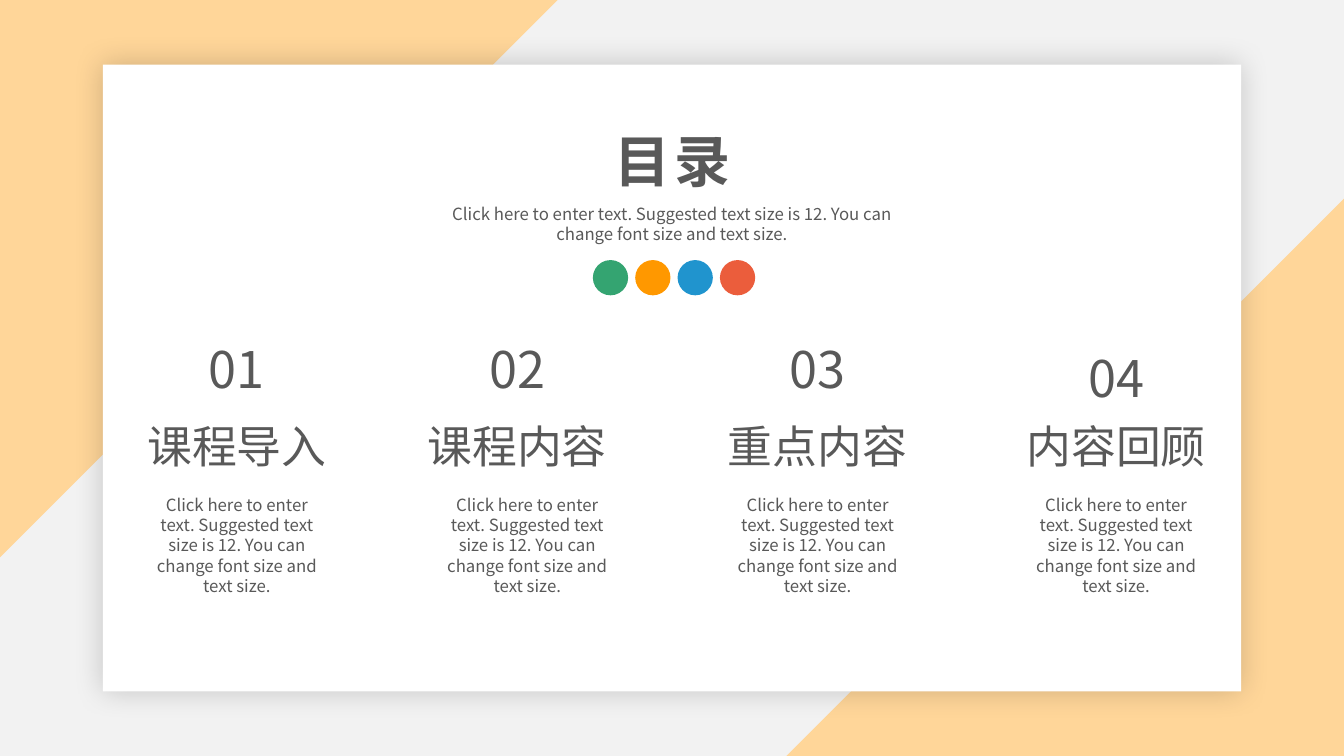
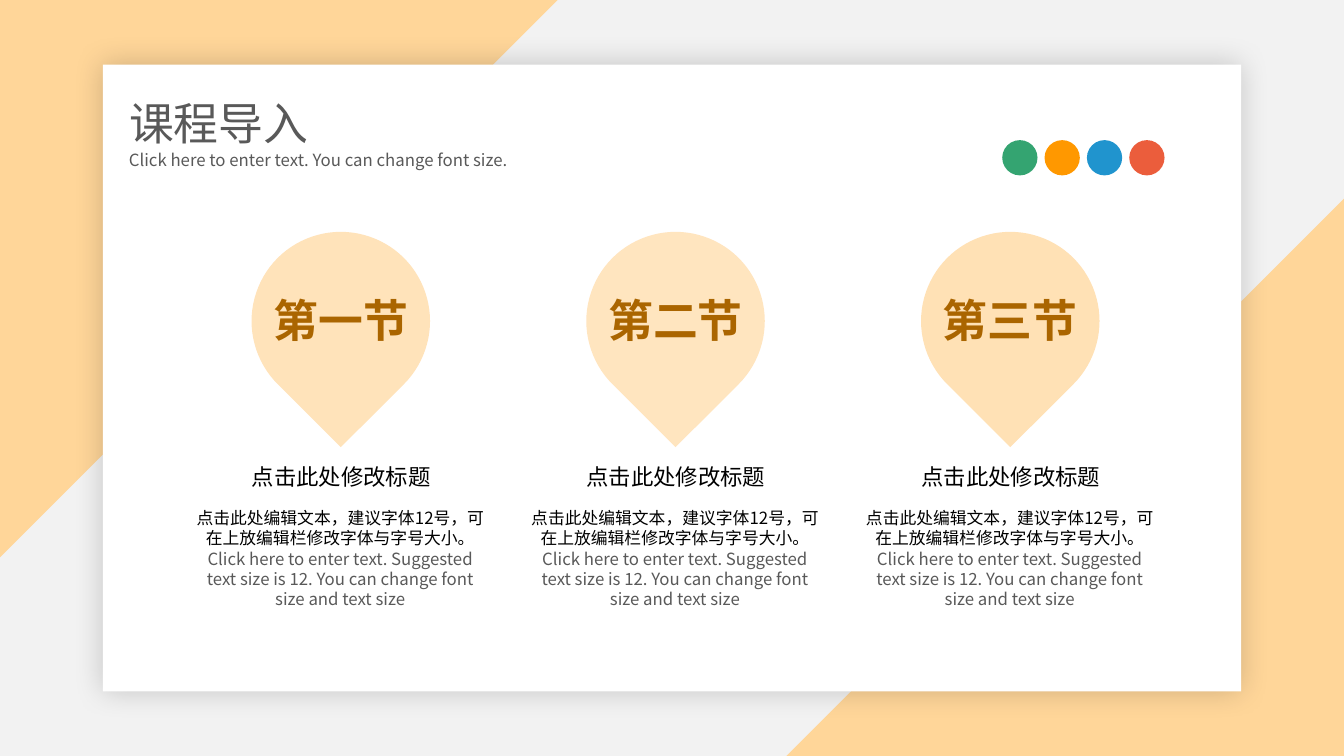
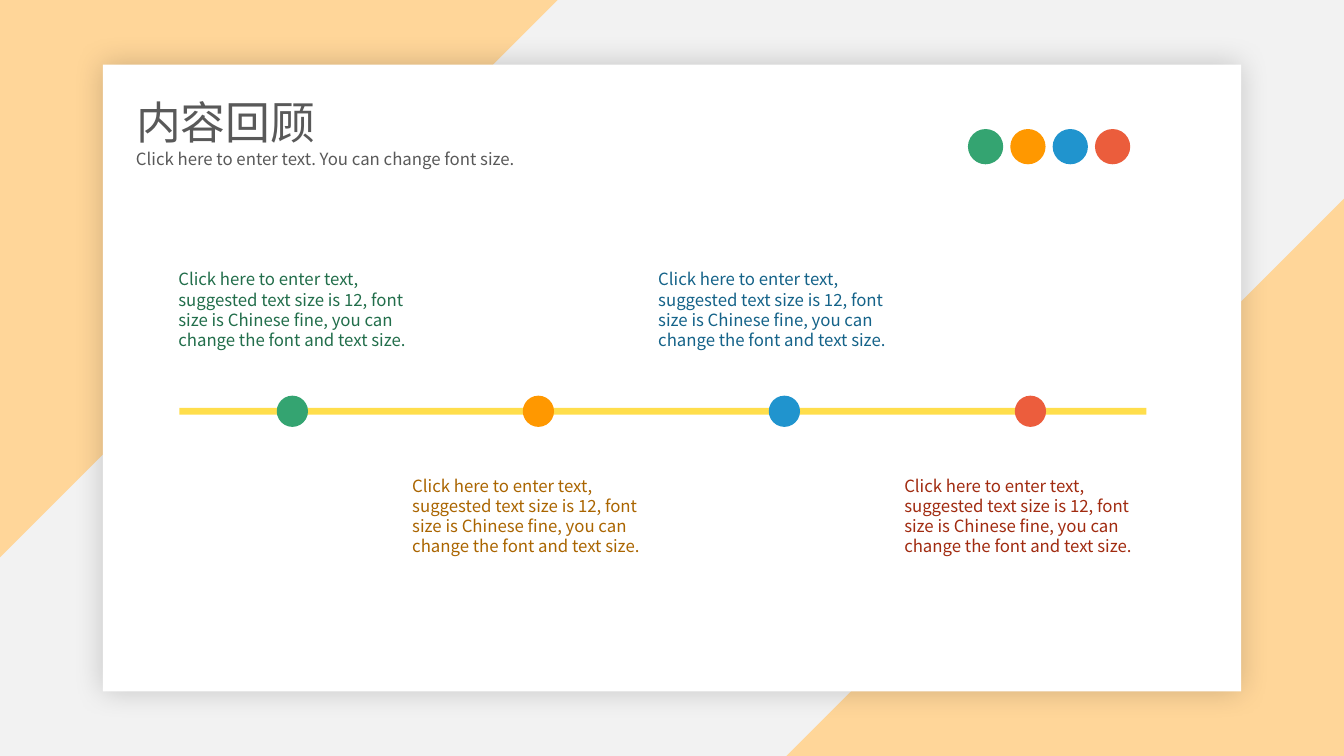
import pptx
import pptx.dml.color
import pptx.enum.shapes
import pptx.enum.text
import pptx.oxml
import pptx.oxml.ns
import pptx.util
import lxml.etree

RGBColor = pptx.dml.color.RGBColor
Inches = pptx.util.Inches
Pt = pptx.util.Pt
SHAPE = pptx.enum.shapes.MSO_SHAPE
ALIGN = pptx.enum.text.PP_ALIGN
ANCHOR = pptx.enum.text.MSO_ANCHOR
qn = pptx.oxml.ns.qn

FONT = "Noto Sans CJK SC"
WHITE = RGBColor(0xFF, 0xFF, 0xFF)
BLACK = RGBColor(0x00, 0x00, 0x00)
GRAY = RGBColor(0x59, 0x59, 0x59)
PALE_GRAY = RGBColor(0xF2, 0xF2, 0xF2)
PEACH = RGBColor(0xFF, 0xD6, 0x99)
YELLOW = RGBColor(0xFF, 0xD1, 0x00)
GREEN = RGBColor(0x34, 0xA4, 0x71)
ORANGE = RGBColor(0xFF, 0x98, 0x00)
BLUE = RGBColor(0x20, 0x94, 0xCE)
RED = RGBColor(0xE9, 0x45, 0x20)
CORAL = RGBColor(0xEC, 0x5D, 0x3D)
DARK_GREEN = RGBColor(0x22, 0x6E, 0x4B)
BROWN = RGBColor(0xAA, 0x65, 0x00)
DARK_BLUE = RGBColor(0x15, 0x63, 0x89)
DARK_RED = RGBColor(0xA1, 0x2B, 0x10)

WIDTH, HEIGHT = 13.33, 7.5
TRIANGLE = 5.53
DOT, DOT_PITCH = 0.35, 0.42
DOT_FILLS = [(GREEN, 100), (ORANGE, 100), (BLUE, 100), (RED, 87)]

HINT = "Click here to enter text. Suggested text size is 12. You can change font size and text size."
SUBTITLE = "Click here to enter text. You can change font size."

CONTENTS = [
    ("01", "课程导入", 2.35, 2.35, 3.31),
    ("02", "课程内容", 5.13, 5.23, 3.31),
    ("03", "重点内容", 8.11, 8.11, 3.31),
    ("04", "内容回顾", 11.07, 11.07, 3.39),
]

LESSONS = [("第一节", 27), ("第二节", 25), ("第三节", 29)]
LESSON_TITLE = "点击此处修改标题"
LESSON_TEXT = [
    ("点击此处编辑文本，建议字体12号，可在上放编辑栏修改字体与字号大小。", BLACK),
    ("Click here to enter text. Suggested text size is 12. You can change font size and text size", GRAY),
]
LESSON_START, LESSON_PITCH, DROP = 3.38, 3.32, 1.77

REVIEW_TEXT = (
    "Click here to enter text, suggested text size is 12, font size is Chinese fine, "
    "you can change the font and text size."
)
REVIEW = [
    (GREEN, DARK_GREEN, 1.67, 2.62),
    (ORANGE, BROWN, 3.99, 4.67),
    (BLUE, DARK_BLUE, 6.43, 2.62),
    (CORAL, DARK_RED, 8.87, 4.67),
]
NODE_START, NODE_PITCH, NODE, AXIS = 2.9, 2.44, 0.31, 4.08


def set_opacity(fill_owner, percent):
    if percent < 100:
        color = fill_owner.find(".//" + qn("a:srgbClr"))
        lxml.etree.SubElement(color, qn("a:alpha"), val=str(percent * 1000))


def add_figure(shapes, kind, left, top, width, height, color, opacity=100, rotation=0):
    shape = shapes.add_shape(kind, Inches(left), Inches(top), Inches(width), Inches(height))
    shape.shadow.inherit = False
    shape.fill.solid()
    shape.fill.fore_color.rgb = color
    shape.line.fill.background()
    shape.rotation = rotation
    set_opacity(shape._element.spPr, opacity)
    return shape


def write_text(shape, text, size=12, color=GRAY, bold=False, align=ALIGN.CENTER,
               anchor=ANCHOR.TOP, spacing=0):
    frame = shape.text_frame
    frame.word_wrap = True
    frame.auto_size = pptx.enum.text.MSO_AUTO_SIZE.NONE
    frame.vertical_anchor = anchor
    paragraph = frame.paragraphs[0]
    paragraph.alignment = align
    for words, run_color in [(text, color)] if isinstance(text, str) else text:
        run = paragraph.add_run()
        run.text = words
        run.font.size = Pt(size)
        run.font.bold = bold
        run.font.color.rgb = run_color
        run.font.name = FONT
        properties = run.font._element
        lxml.etree.SubElement(properties, qn("a:ea"), typeface=FONT)
        if spacing:
            properties.set("spc", str(spacing * 100))


def add_text(slide, text, left, top, width, height, **text_format):
    box = slide.shapes.add_textbox(Inches(left), Inches(top), Inches(width), Inches(height))
    write_text(box, text, **text_format)


def set_title(slide, text, left, top, width, height, **text_format):
    title = slide.shapes.title
    title.left, title.top = Inches(left), Inches(top)
    title.width, title.height = Inches(width), Inches(height)
    write_text(title, text, **text_format)


def add_heading(slide, text, left, top):
    set_title(slide, text, left, top, 2.78, 0.64, size=32, align=ALIGN.LEFT)
    add_text(slide, SUBTITLE, left, top + 0.54, 4.09, 0.3, align=ALIGN.LEFT)


def add_dots(slide, left, top):
    group = slide.shapes.add_group_shape()
    for index, (color, opacity) in enumerate(DOT_FILLS):
        add_figure(group.shapes, SHAPE.OVAL, left + index * DOT_PITCH, top, DOT, DOT, color, opacity)


def add_slide(presentation):
    slide = presentation.slides.add_slide(presentation.slide_layouts[5])
    backdrop = slide.shapes.add_group_shape()
    shapes = backdrop.shapes
    add_figure(shapes, SHAPE.RECTANGLE, 0, 0, WIDTH, HEIGHT, PALE_GRAY)
    add_figure(shapes, SHAPE.RIGHT_TRIANGLE, 0, 0, TRIANGLE, TRIANGLE, PEACH, rotation=90)
    add_figure(shapes, SHAPE.RIGHT_TRIANGLE, WIDTH - TRIANGLE, HEIGHT - TRIANGLE,
               TRIANGLE, TRIANGLE, PEACH, rotation=270)
    card = add_figure(shapes, SHAPE.RECTANGLE, 1.02, 0.64, 11.29, 6.22, WHITE)
    effects = card._element.spPr.find(qn("a:effectLst"))
    shadow = lxml.etree.SubElement(effects, qn("a:outerShdw"), blurRad=str(Pt(22)),
                                   dist="0", dir="0", algn="ctr", rotWithShape="0")
    lxml.etree.SubElement(shadow, qn("a:srgbClr"), val=str(BLACK))
    set_opacity(shadow, 19)
    slide.shapes._spTree.insert(2, backdrop._element)
    return slide


def build_contents(presentation):
    slide = add_slide(presentation)
    set_title(slide, "目录", 4.46, 1.19, 4.42, 0.78, size=40, bold=True,
              anchor=ANCHOR.BOTTOM, spacing=3)
    add_text(slide, HINT, 4.17, 1.97, 4.99, 0.5)
    for number, name, center, hint_center, number_top in CONTENTS:
        add_text(slide, number, center - 0.6, number_top, 1.2, 0.71, size=36)
        add_text(slide, name, center - 1.39, 4.1, 2.78, 0.64, size=32)
        add_text(slide, HINT, hint_center - 0.9, 4.86, 1.8, 1.11)
    add_dots(slide, 5.88, 2.58)


def build_lessons(presentation):
    slide = add_slide(presentation)
    add_heading(slide, "课程导入", 1.18, 0.9)
    add_dots(slide, 9.94, 1.39)
    for index, (name, opacity) in enumerate(LESSONS):
        center = LESSON_START + index * LESSON_PITCH
        add_figure(slide.shapes, SHAPE.TEAR, center - DROP / 2, 2.3, DROP, DROP,
                   ORANGE, opacity, rotation=135)
        add_text(slide, name, center - 1.02, 2.86, 2.04, 0.64, size=32, color=BROWN, bold=True)
        add_text(slide, LESSON_TITLE, center - 1.24, 4.55, 2.49, 0.37, size=16, color=BLACK)
        add_text(slide, LESSON_TEXT, center - 1.54, 4.99, 3.07, 1.11)


def build_review(presentation):
    slide = add_slide(presentation)
    add_heading(slide, "内容回顾", 1.25, 0.89)
    add_dots(slide, 9.6, 1.28)
    axis = slide.shapes.add_connector(pptx.enum.shapes.MSO_CONNECTOR.STRAIGHT,
                                      Inches(1.78), Inches(AXIS), Inches(11.37), Inches(AXIS))
    axis.line.color.rgb = YELLOW
    axis.line.width = Pt(5)
    set_opacity(axis._element.spPr, 69)
    lxml.etree.SubElement(axis._element.spPr, qn("a:effectLst"))
    for index, (node_color, text_color, left, top) in enumerate(REVIEW):
        center = NODE_START + index * NODE_PITCH
        add_figure(slide.shapes, SHAPE.OVAL, center - NODE / 2, AXIS - NODE / 2,
                   NODE, NODE, node_color)
        add_text(slide, REVIEW_TEXT, left, top, 2.71, 0.91, color=text_color, align=ALIGN.LEFT)


def main():
    presentation = pptx.Presentation()
    presentation.slide_width = Inches(WIDTH)
    presentation.slide_height = Inches(HEIGHT)
    build_contents(presentation)
    build_lessons(presentation)
    build_review(presentation)
    presentation.save("out.pptx")


if __name__ == "__main__":
    main()
